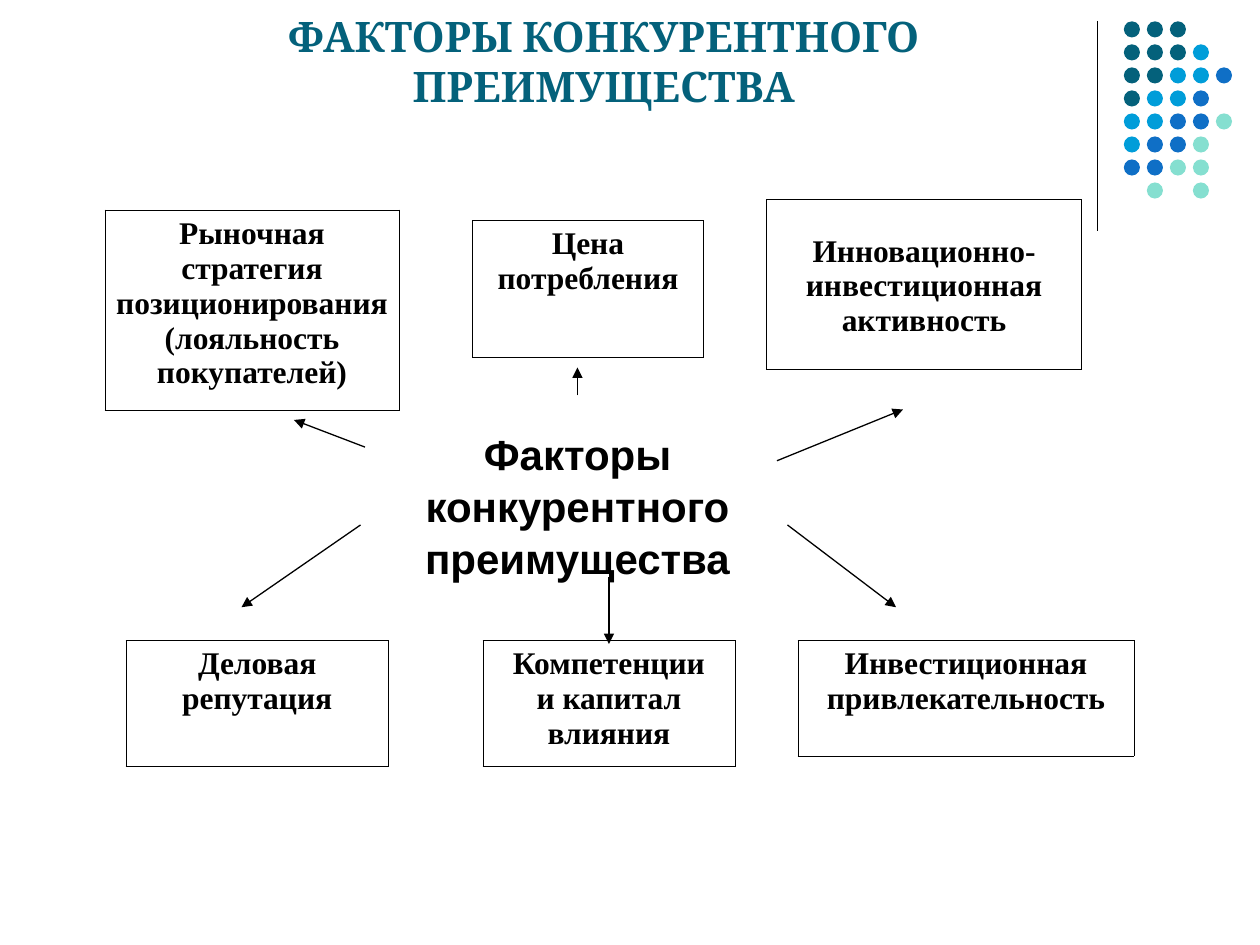
"""Builds the slide on the factors of competitive advantage."""
from lxml import etree
from pptx import Presentation
from pptx import util as u
from pptx.dml import color
from pptx.enum import shapes, text
from pptx.oxml import ns

TITLE = "ФАКТОРЫ КОНКУРЕНТНОГО ПРЕИМУЩЕСТВА"
CENTRE = "Факторы конкурентного преимущества"
BLACK, WHITE, TEAL = "000000", "FFFFFF", "04617B"
TITLE_FONT = {"name": "Cambria", "size": u.Pt(24), "bold": True}
CENTRE_FONT = {"name": "Arial", "size": u.Pt(24), "bold": True}
FACTOR_FONT = {"name": "Times New Roman", "size": u.Pt(18), "bold": True}

FACTOR_TABLES = [
    {"at": (438, 114), "height": 97.2, "top": 19.7,
     "columns": [(180, "Инновационно-инвестиционная активность")]},
    {"at": (270, 126), "height": 78, "top": 3.6,
     "columns": [(132, "Цена потребления")]},
    {"at": (72, 366), "height": 72, "top": 3.6,
     "columns": [(150, "Деловая репутация"), (54, ""),
                 (144, "Компетенции\nи капитал влияния")]},
    {"at": (456, 366), "height": 66, "top": 3.6,
     "columns": [(192, "Инвестиционная привлекательность")]},
    {"at": (60, 120), "height": 114.6, "top": 3.6,
     "columns": [(168, "Рыночная стратегия позиционирования (лояльность покупателей)")]},
]
ARROWS = [
    (208.6, 255.5, 168, 240), (330, 226, 330, 210), (444, 263.3, 516, 234),
    (206, 300, 138, 347), (348, 330, 348, 368), (450, 300, 512, 347),
]
DOT_COLOURS = {"T": TEAL, "S": "009DD9", "B": "0F6FC6", "M": "85DFD0"}
DOT_ROWS = ["TTT", "TTTS", "TTSSB", "TSSB", "SSBBM", "SBBM", "BBMM", " M M"]
DOT_LEFT, DOT_TOP, DOT_STEP, DOT_SIZE = 642.2, 12.2, 13.15, 9.2


def rgb(value):
    return color.RGBColor.from_string(value)


def format_paragraph(paragraph, values, colour):
    paragraph.alignment = text.PP_ALIGN.CENTER
    for name, value in values.items():
        setattr(paragraph.font, name, value)
    paragraph.font.color.rgb = rgb(colour)


def add_line(slide, points, arrow=False):
    line = slide.shapes.add_connector(
        shapes.MSO_CONNECTOR.STRAIGHT, *(u.Pt(point) for point in points))
    line.line.color.rgb = rgb(BLACK)
    line.line.width = u.Pt(0.75)
    properties = line._element.spPr
    if arrow:
        etree.SubElement(properties.find(ns.qn("a:ln")), ns.qn("a:tailEnd"), type="triangle")
    etree.SubElement(properties, ns.qn("a:effectLst"))


def add_shape(slide, kind, box, fill):
    shape = slide.shapes.add_shape(kind, *(u.Pt(length) for length in box))
    shape.shadow.inherit = False
    shape.fill.solid()
    shape.fill.fore_color.rgb = rgb(fill)
    shape.line.fill.background()
    return shape


def add_dots(slide):
    for row, letters in enumerate(DOT_ROWS):
        for column, letter in enumerate(letters):
            if letter in DOT_COLOURS:
                box = (DOT_LEFT + column * DOT_STEP, DOT_TOP + row * DOT_STEP, DOT_SIZE, DOT_SIZE)
                add_shape(slide, shapes.MSO_SHAPE.OVAL, box, DOT_COLOURS[letter])


def add_borders(cell, visible):
    properties = cell._tc.get_or_add_tcPr()
    for side in "LRTB":
        border = etree.SubElement(properties, ns.qn(f"a:ln{side}"), w=str(u.Pt(0.45)))
        if side in visible:
            fill = etree.SubElement(border, ns.qn("a:solidFill"))
            etree.SubElement(fill, ns.qn("a:srgbClr"), val=BLACK)
        else:
            etree.SubElement(border, ns.qn("a:noFill"))


def add_factor_table(slide, factor):
    columns = factor["columns"]
    width = sum(column_width for column_width, _ in columns)
    box = (*factor["at"], width, factor["height"])
    table = slide.shapes.add_table(1, len(columns), *(u.Pt(length) for length in box)).table
    table.first_row = table.horz_banding = False
    for index, (column_width, words) in enumerate(columns):
        table.columns[index].width = u.Pt(column_width)
        cell = table.cell(0, index)
        cell.margin_left = cell.margin_right = u.Pt(5.7)
        cell.margin_top, cell.margin_bottom = u.Pt(factor["top"]), u.Pt(3.6)
        add_borders(cell, "LRTB" if words else "LR")
        cell.fill.background()
        cell.text = words
        for paragraph in cell.text_frame.paragraphs:
            format_paragraph(paragraph, FACTOR_FONT, BLACK)


def add_title(slide):
    title = slide.shapes.title
    title.left, title.top, title.width, title.height = (
        u.Pt(length) for length in (48, 12, 594, 84))
    frame = title.text_frame
    frame.text = TITLE
    frame_format = {"word_wrap": True, "auto_size": text.MSO_AUTO_SIZE.NONE,
                    "vertical_anchor": text.MSO_ANCHOR.BOTTOM,
                    "margin_top": u.Pt(0), "margin_bottom": u.Pt(32.4)}
    for name, value in frame_format.items():
        setattr(frame, name, value)
    format_paragraph(frame.paragraphs[0], TITLE_FONT, TEAL)


def add_centre(slide):
    shape = add_shape(slide, shapes.MSO_SHAPE.RECTANGLE, (228, 240, 204, 90), WHITE)
    shape.line.color.rgb = rgb(WHITE)
    shape.line.width = u.Pt(0.75)
    frame = shape.text_frame
    frame.word_wrap = True
    frame.vertical_anchor = text.MSO_ANCHOR.TOP
    frame.text = CENTRE
    frame.paragraphs[0].line_spacing = 1.04
    format_paragraph(frame.paragraphs[0], CENTRE_FONT, BLACK)


def main():
    presentation = Presentation()
    presentation.slide_width, presentation.slide_height = u.Pt(720), u.Pt(540)
    slide = presentation.slides.add_slide(presentation.slide_layouts[5])
    add_title(slide)
    add_line(slide, (627, 12, 627, 132))
    add_dots(slide)
    for factor in FACTOR_TABLES:
        add_factor_table(slide, factor)
    add_centre(slide)
    for points in ARROWS:
        add_line(slide, points, arrow=True)
    presentation.save("out.pptx")


if __name__ == "__main__":
    main()
